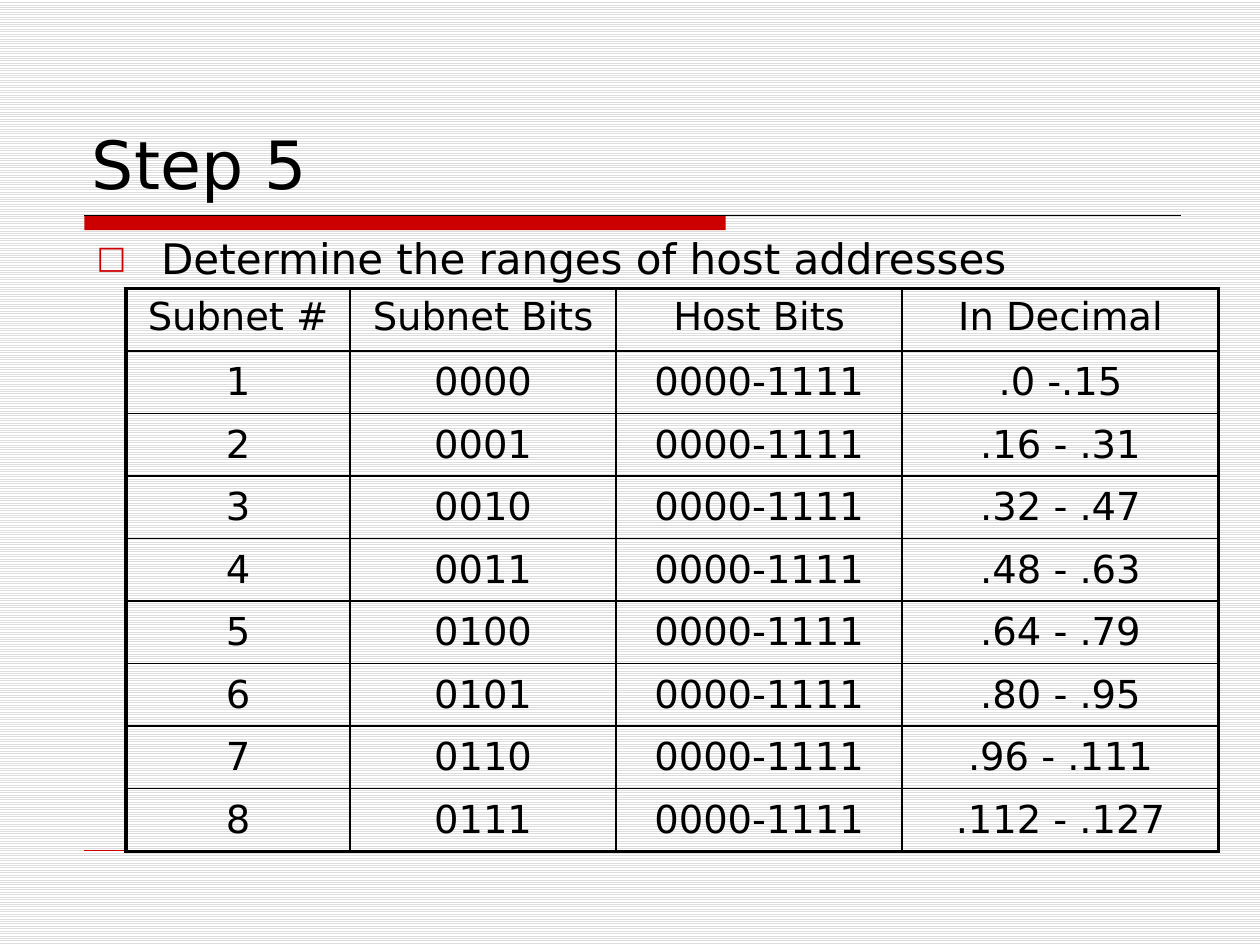
from dataclasses import dataclass

from lxml.etree import SubElement
from pptx import Presentation
from pptx.dml.color import RGBColor
from pptx.enum.dml import MSO_PATTERN
from pptx.enum.shapes import MSO_CONNECTOR, MSO_SHAPE
from pptx.enum.text import MSO_ANCHOR, MSO_AUTO_SIZE, PP_ALIGN
from pptx.oxml.ns import qn
from pptx.util import Cm, Pt


@dataclass(frozen=True)
class Theme:
    font: str = "DejaVu Sans"
    text: str = "000000"
    accent: str = "CC0000"
    stripe: str = "DDDDDD"
    paper: str = "FFFFFF"
    title_size: int = 38
    body_size: int = 24
    table_size: int = 22
    outer_border: float = 2.25
    inner_border: float = 1


THEME = Theme()
TITLE = "Step 5"
BULLET = "Determine the ranges of host addresses"
HEADERS = ["Subnet #", "Subnet Bits", "Host Bits", "In Decimal"]
HOST_BITS = "0000-1111"
SUBNETS = [
    ("0000", ".0 -.15"),
    ("0001", ".16 - .31"),
    ("0010", ".32 - .47"),
    ("0011", ".48 - .63"),
    ("0100", ".64 - .79"),
    ("0101", ".80 - .95"),
    ("0110", ".96 - .111"),
    ("0111", ".112 - .127"),
]
COLUMN_WIDTHS = [4.52, 5.36, 5.77, 6.38]
ROW_HEIGHT = 1.26
LEFT = 1.7


def color(value):
    return RGBColor.from_string(value)


def add_text(paragraph, text, size, alignment=PP_ALIGN.LEFT):
    paragraph.alignment = alignment
    run = paragraph.add_run()
    run.text = text
    run.font.name = THEME.font
    run.font.size = Pt(size)
    run.font.color.rgb = color(THEME.text)


def add_rule(slide, right, top, line_color, width):
    rule = slide.shapes.add_connector(
        MSO_CONNECTOR.STRAIGHT, Cm(LEFT), Cm(top), Cm(right), Cm(top))
    rule.line.color.rgb = color(line_color)
    rule.line.width = Pt(width)
    SubElement(rule._element.spPr, qn("a:effectLst"))


def add_decoration(slide):
    background = slide.background.fill
    background.patterned()
    background.pattern = MSO_PATTERN.LIGHT_HORIZONTAL
    background.fore_color.rgb = color(THEME.stripe)
    background.back_color.rgb = color(THEME.paper)

    bar = slide.shapes.add_shape(
        MSO_SHAPE.RECTANGLE, Cm(LEFT), Cm(4.34), Cm(12.93), Cm(0.3))
    bar.shadow.inherit = False
    bar.fill.solid()
    bar.fill.fore_color.rgb = color(THEME.accent)
    bar.line.fill.background()
    add_rule(slide, 23.8, 4.34, THEME.text, 0.75)
    add_rule(slide, 23.7, 17.15, THEME.accent, 0.25)


def add_title(slide):
    title = slide.shapes.title
    title.left, title.top, title.width, title.height = (
        Cm(1.6), Cm(0.84), Cm(22.23), Cm(3.38))
    frame = title.text_frame
    frame.auto_size = MSO_AUTO_SIZE.NONE
    frame.vertical_anchor = MSO_ANCHOR.BOTTOM
    add_text(frame.paragraphs[0], TITLE, THEME.title_size)


def add_bullet(slide):
    box = slide.shapes.add_textbox(Cm(LEFT), Cm(4.57), Cm(23.06), Cm(1))
    box.text_frame.word_wrap = True
    paragraph = box.text_frame.paragraphs[0]
    properties = paragraph._p.get_or_add_pPr()
    properties.set("marL", str(Cm(1.3)))
    properties.set("indent", str(-Cm(1.3)))
    bullet_color = SubElement(properties, qn("a:buClr"))
    SubElement(bullet_color, qn("a:srgbClr"), val=THEME.accent)
    SubElement(properties, qn("a:buSzPct"), val="75000")
    SubElement(properties, qn("a:buFont"), typeface=THEME.font)
    SubElement(properties, qn("a:buChar"), char="□")
    add_text(paragraph, BULLET, THEME.body_size)


def add_borders(cell, outer_edges):
    properties = cell._tc.get_or_add_tcPr()
    for side, is_outer in outer_edges.items():
        width = THEME.outer_border if is_outer else THEME.inner_border
        border = SubElement(properties, qn(f"a:ln{side}"), w=str(Pt(width)))
        fill = SubElement(border, qn("a:solidFill"))
        SubElement(fill, qn("a:srgbClr"), val=THEME.text)


def add_subnet_table(slide):
    rows = [HEADERS] + [
        (str(number), bits, HOST_BITS, addresses)
        for number, (bits, addresses) in enumerate(SUBNETS, 1)]
    last_row, last_column = len(rows) - 1, len(HEADERS) - 1
    table = slide.shapes.add_table(
        len(rows), len(HEADERS), Cm(2.54), Cm(5.82),
        Cm(sum(COLUMN_WIDTHS)), Cm(ROW_HEIGHT * len(rows))).table
    table.first_row = False
    table.horz_banding = False
    for column, width in zip(table.columns, COLUMN_WIDTHS):
        column.width = Cm(width)
    for r, values in enumerate(rows):
        table.rows[r].height = Cm(ROW_HEIGHT)
        for c, value in enumerate(values):
            cell = table.cell(r, c)
            add_borders(cell, {"L": c == 0, "R": c == last_column,
                               "T": r == 0, "B": r == last_row})
            cell.fill.background()
            cell.vertical_anchor = MSO_ANCHOR.MIDDLE if r else MSO_ANCHOR.TOP
            add_text(cell.text_frame.paragraphs[0], value,
                     THEME.table_size, PP_ALIGN.CENTER)


def main():
    presentation = Presentation()
    presentation.slide_width = Cm(25.4)
    presentation.slide_height = Cm(19.05)
    slide = presentation.slides.add_slide(
        presentation.slide_layouts.get_by_name("Title Only"))
    add_decoration(slide)
    add_title(slide)
    add_bullet(slide)
    add_subnet_table(slide)
    presentation.save("out.pptx")


if __name__ == "__main__":
    main()
